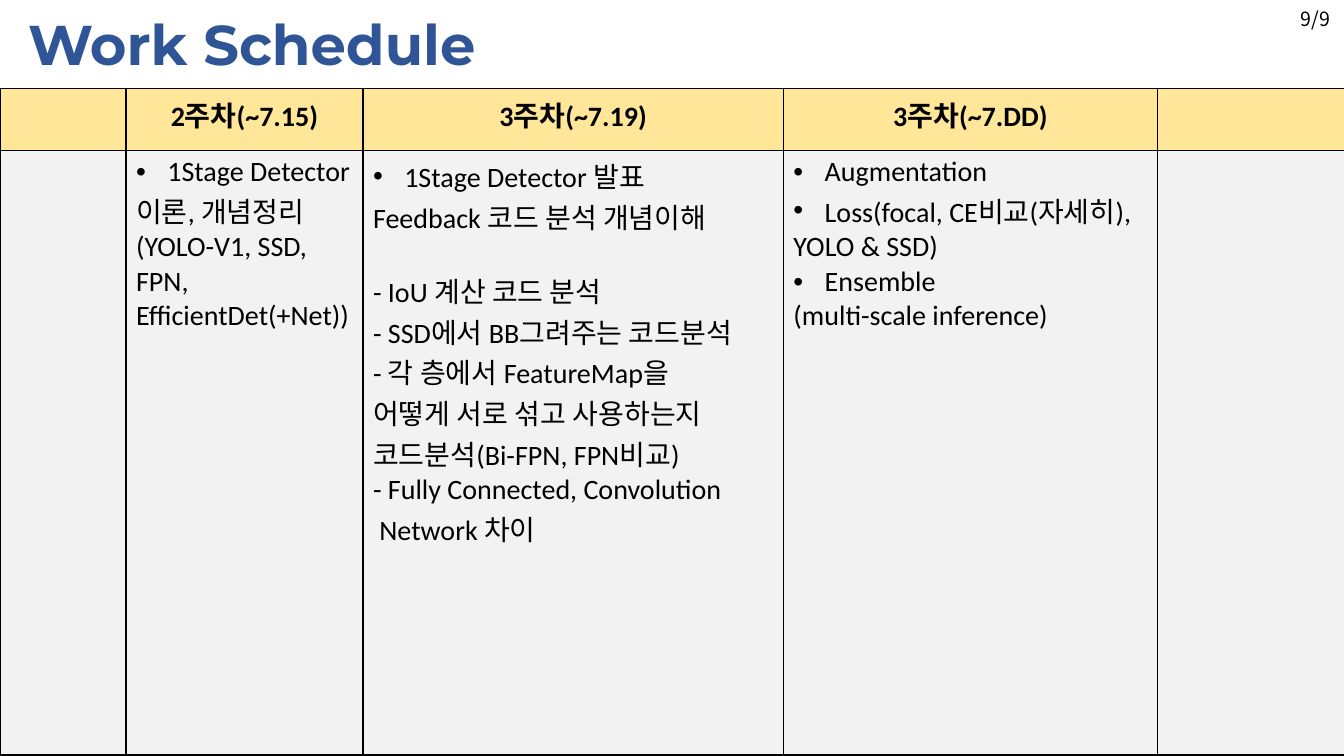
from lxml.etree import SubElement
from pptx import Presentation
from pptx.dml.color import RGBColor
from pptx.enum.text import MSO_ANCHOR, MSO_AUTO_SIZE, PP_ALIGN
from pptx.oxml import parse_xml
from pptx.oxml.ns import nsdecls, qn
from pptx.util import Inches, Pt

KOREAN_FONT = "Noto Sans CJK KR"
BULLET = "•"
GAP = "gap"
COLUMN_WIDTHS = [1.25, 2.35, 4.17, 3.71, 1.86]
ROW_HEIGHTS = [0.61, 6]

# Each week: heading, then its lines as (text, mark)
WEEKS = [
    ("", []),
    ("2주차(~7.15)", [
        ("1Stage Detector", BULLET),
        ("이론, 개념정리", None),
        ("(YOLO-V1, SSD,", None),
        ("FPN,", None),
        ("EfficientDet(+Net))", None),
    ]),
    ("3주차(~7.19)", [
        ("1Stage Detector 발표", BULLET),
        ("Feedback 코드 분석 개념이해", None),
        ("- IoU 계산 코드 분석", GAP),
        ("- SSD에서 BB그려주는 코드분석", None),
        ("- 각 층에서 FeatureMap을", None),
        ("어떻게 서로 섞고 사용하는지 코드분석(Bi-FPN, FPN비교)", None),
        ("- Fully Connected, Convolution", None),
        (" Network 차이", None),
    ]),
    ("3주차(~7.DD)", [
        ("Augmentation", BULLET),
        ("Loss(focal, CE비교(자세히),", BULLET),
        ("YOLO & SSD)", None),
        ("Ensemble", BULLET),
        ("(multi-scale inference)", None),
    ]),
    ("", []),
]


def color(hex_code):
    return RGBColor.from_string(hex_code)


def write(paragraph, text, size, font_name, hex_code="000000", bold=False):
    """Set the paragraph's text and format its runs."""
    paragraph.text = text
    for run in paragraph.runs:
        font = run.font
        font.size, font.name, font.bold = Pt(size), font_name, bold
        font.color.rgb = color(hex_code)
        SubElement(run._r.get_or_add_rPr(), qn("a:ea"), typeface=KOREAN_FONT)


def add_bullet(paragraph):
    properties = paragraph._p.get_or_add_pPr()
    properties.set("marL", str(Inches(0.31)))
    properties.set("indent", str(Inches(-0.31)))
    SubElement(properties, qn("a:buFont"), typeface="Arial")
    SubElement(properties, qn("a:buChar"), char=BULLET)


def style_cell(cell, fill):
    """Fill the cell and draw a thin black border on its four sides."""
    cell.fill.solid()
    cell.fill.fore_color.rgb = color(fill)
    properties = cell._tc.get_or_add_tcPr()
    for position, side in enumerate("LRTB"):
        properties.insert(position, parse_xml(
            f'<a:ln{side} {nsdecls("a")} w="{Pt(1)}"><a:solidFill>'
            f'<a:srgbClr val="000000"/></a:solidFill></a:ln{side}>'))


def add_title(slide, left, top, width, height):
    title = slide.shapes.add_textbox(
        Inches(left), Inches(top), Inches(width), Inches(height)).text_frame
    title.word_wrap = True
    title.auto_size = MSO_AUTO_SIZE.SHAPE_TO_FIT_TEXT
    write(title.paragraphs[0], "Work Schedule", 40, "Montserrat", "2F5597", True)


def add_page_number(slide, left, top, width, height):
    page_number = slide.shapes.add_textbox(
        Inches(left), Inches(top), Inches(width), Inches(height)).text_frame
    page_number.word_wrap = True
    page_number.vertical_anchor = MSO_ANCHOR.BOTTOM
    line = page_number.paragraphs[0]
    line.alignment, line.line_spacing = PP_ALIGN.CENTER, 0.9
    write(line, "9/9", 14, KOREAN_FONT)


def fill_tasks(frame, tasks):
    for index, (text, mark) in enumerate(tasks):
        line = frame.add_paragraph() if index else frame.paragraphs[0]
        if mark == GAP:
            line.space_before = Pt(24)
        write(line, text, 20, "Calibri")
        if mark == BULLET:
            add_bullet(line)


def add_schedule(slide, left, top, width, height):
    schedule = slide.shapes.add_table(
        len(ROW_HEIGHTS), len(WEEKS), Inches(left), Inches(top),
        Inches(width), Inches(height)).table
    for column, column_width in zip(schedule.columns, COLUMN_WIDTHS):
        column.width = Inches(column_width)
    for row, row_height in zip(schedule.rows, ROW_HEIGHTS):
        row.height = Inches(row_height)
    for index, (heading, tasks) in enumerate(WEEKS):
        heading_cell, task_cell = schedule.cell(0, index), schedule.cell(1, index)
        style_cell(heading_cell, "FFE699")
        style_cell(task_cell, "F2F2F2")
        if heading:
            heading_line = heading_cell.text_frame.paragraphs[0]
            heading_line.alignment = PP_ALIGN.CENTER
            write(heading_line, heading, 20, "Calibri", bold=True)
        fill_tasks(task_cell.text_frame, tasks)


def main():
    deck = Presentation()
    deck.slide_width, deck.slide_height = Inches(13.33), Inches(7.5)
    slide = deck.slides.add_slide(deck.slide_layouts[6])
    add_title(slide, 0.18, 0.05, 13.33, 0.77)
    add_schedule(slide, 0, 0.88, 13.33, 6.61)
    add_page_number(slide, 12.77, 0, 0.56, 0.35)
    deck.save("out.pptx")


if __name__ == "__main__":
    main()
